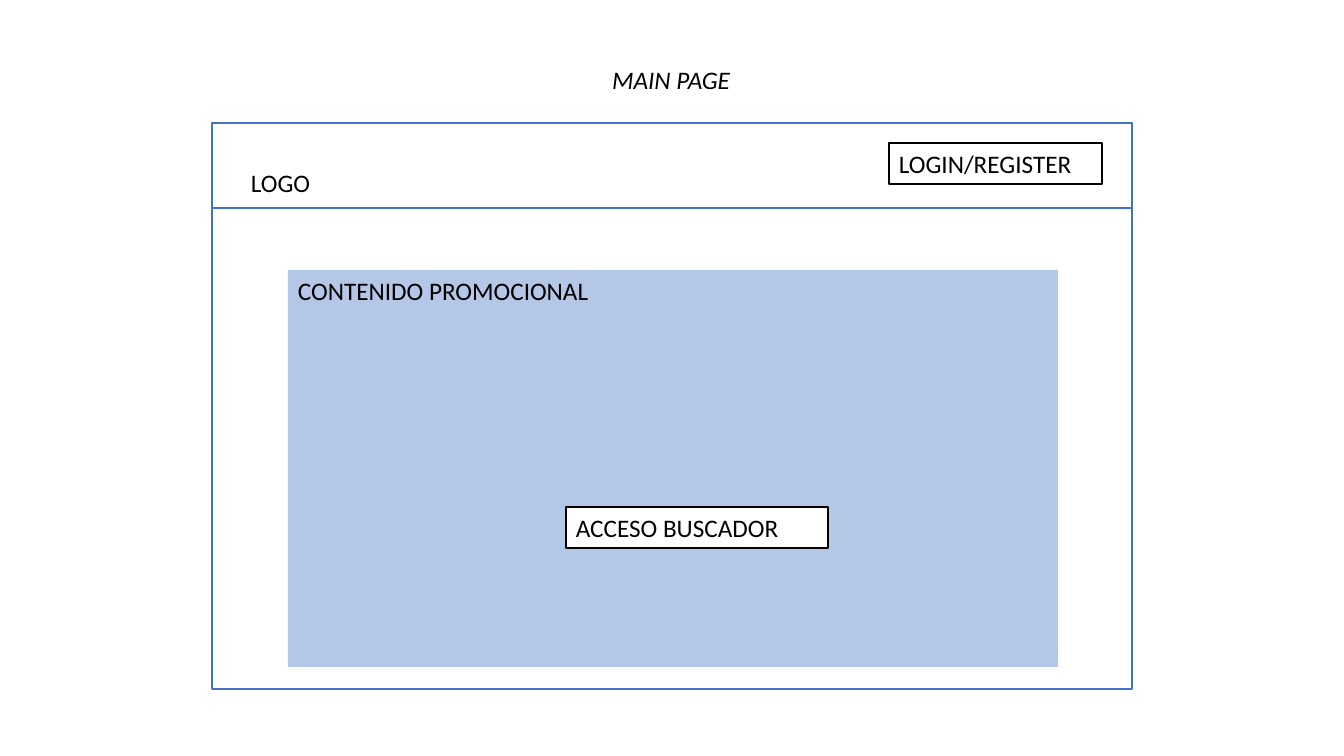
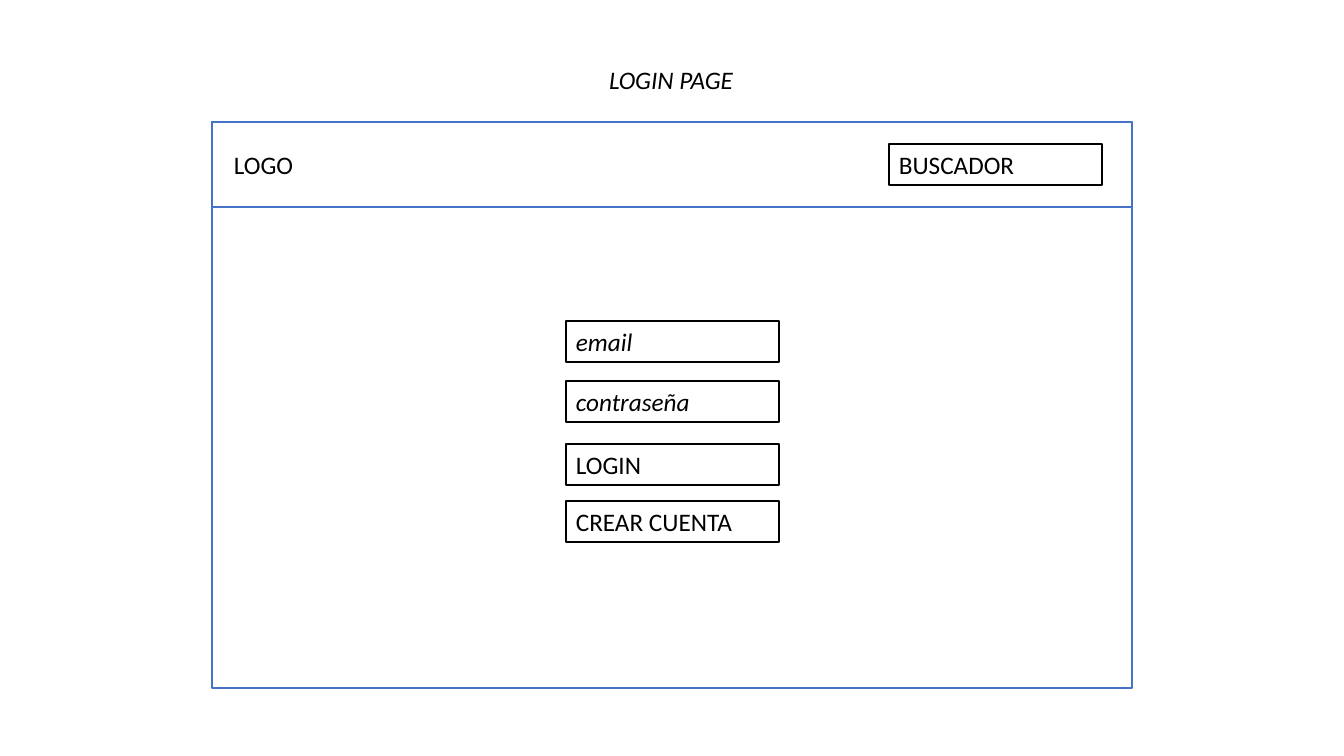
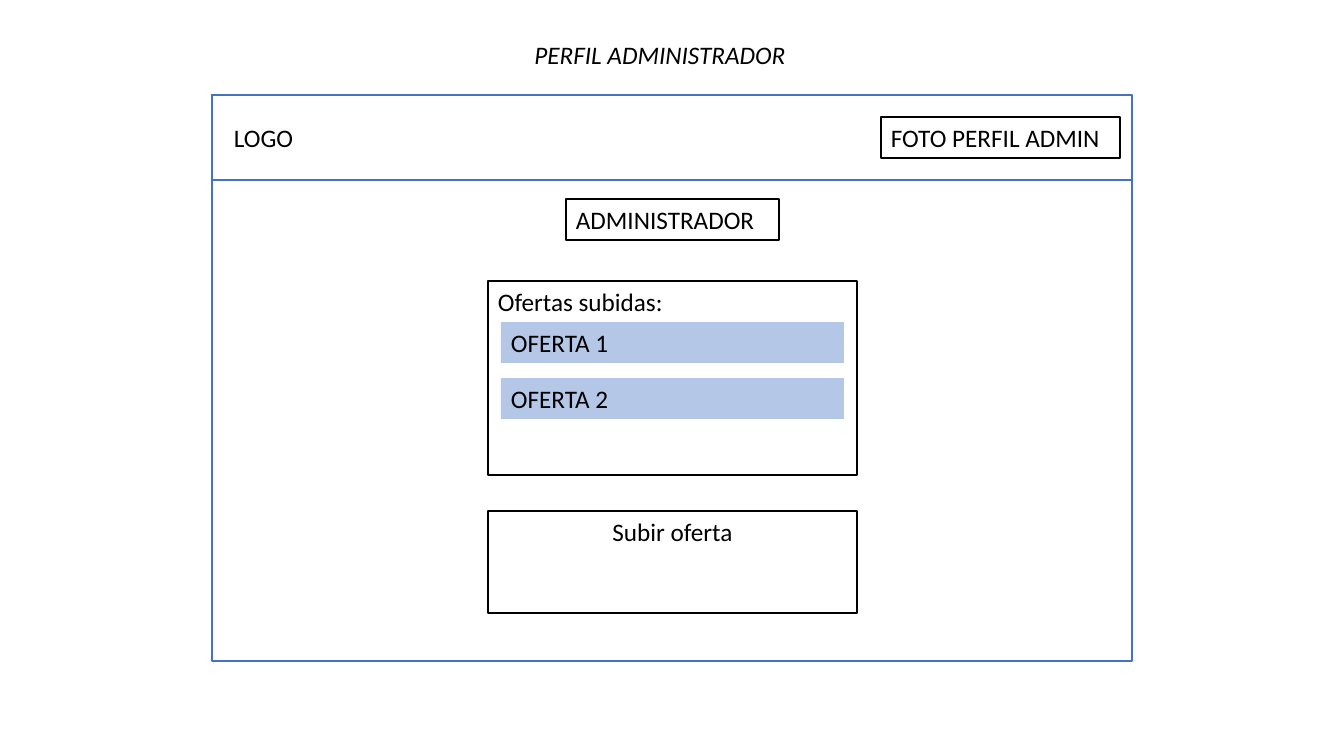
"""Build three page wireframes: main page, login page and administrator profile."""
from pptx import Presentation
from pptx import util as u
from pptx.dml.color import RGBColor
from pptx.enum import shapes, text

SCALE = 12192000 / 1344
BLACK = RGBColor(0x00, 0x00, 0x00)
WHITE = RGBColor(0xFF, 0xFF, 0xFF)
BLUE = RGBColor(0x44, 0x72, 0xC4)
PALE_BLUE = RGBColor(0xB4, 0xC7, 0xE7)
FONT = "Calibri"
ROW_HEIGHT = 41
FIELD_LEFT, FIELD_WIDTH = 566, 213
PANEL_LEFT, PANEL_WIDTH = 488, 369


def px(*lengths):
    """Turn pixel lengths into EMU."""
    return [u.Emu(round(length * SCALE)) for length in lengths]


def write(shape, wording, italic=False, align=text.PP_ALIGN.LEFT):
    """Put one formatted line at the top of a shape."""
    frame = shape.text_frame
    frame.word_wrap = True
    frame.auto_size = text.MSO_AUTO_SIZE.NONE
    frame.vertical_anchor = text.MSO_ANCHOR.TOP
    paragraph = frame.paragraphs[0]
    paragraph.alignment = align
    run = paragraph.add_run()
    run.text = wording
    run.font.name = FONT
    run.font.size = u.Pt(18)
    run.font.italic = italic
    run.font.color.rgb = BLACK


def add_box(slide, left, top, width, height=ROW_HEIGHT, wording=None,
            fill=WHITE, line=BLACK, **text_format):
    """Add a rectangle with an optional outline and wording."""
    shape = slide.shapes.add_shape(shapes.MSO_SHAPE.RECTANGLE,
                                   *px(left, top, width, height))
    shape.shadow.inherit = False
    shape.fill.solid()
    shape.fill.fore_color.rgb = fill
    if line is None:
        shape.line.fill.background()
    else:
        shape.line.color.rgb = line
        shape.line.width = u.Pt(1)
    if wording:
        write(shape, wording, **text_format)


def add_label(slide, left, top, width, wording, **text_format):
    """Add a text box one row high."""
    label = slide.shapes.add_textbox(*px(left, top, width, ROW_HEIGHT))
    write(label, wording, **text_format)


def add_page(presentation, title, top, title_box=(537, 59, 268),
             logo_at=(224, 144)):
    """Add a slide with its title, browser frame, header band and logo label."""
    slide = presentation.slides.add_slide(presentation.slide_layouts[6])
    for height in (566, 85):
        add_box(slide, 212, top, 920, height, line=BLUE)
    add_label(slide, *logo_at, 124, "LOGO")
    add_label(slide, *title_box, title, italic=True,
              align=text.PP_ALIGN.CENTER)
    return slide


def build_main_page(presentation):
    """Build the main page with its promotional area."""
    slide = add_page(presentation, "MAIN PAGE", 123, logo_at=(241, 162))
    add_box(slide, 288, 270, 770, 397, "CONTENIDO PROMOCIONAL",
            fill=PALE_BLUE, line=None)
    add_box(slide, 889, 143, FIELD_WIDTH, wording="LOGIN/REGISTER")
    add_box(slide, FIELD_LEFT, 507, 262, wording="ACCESO BUSCADOR")


def build_login_page(presentation):
    """Build the login page with its form."""
    slide = add_page(presentation, "LOGIN PAGE", 122)
    add_box(slide, 889, 144, FIELD_WIDTH, wording="BUSCADOR")
    for top, wording, italic in ((321, "email", True),
                                 (381, "contraseña", True),
                                 (444, "LOGIN", False),
                                 (501, "CREAR CUENTA", False)):
        add_box(slide, FIELD_LEFT, top, FIELD_WIDTH, wording=wording,
                italic=italic)


def build_admin_page(presentation):
    """Build the administrator profile with its offers."""
    slide = add_page(presentation, "PERFIL ADMINISTRADOR", 95,
                     title_box=(515, 34, 290), logo_at=(224, 117))
    add_box(slide, FIELD_LEFT, 199, FIELD_WIDTH, wording="ADMINISTRADOR")
    add_box(slide, 881, 117, 239, wording="FOTO PERFIL ADMIN")
    add_box(slide, PANEL_LEFT, 281, PANEL_WIDTH, 194, "Ofertas subidas:")
    add_box(slide, PANEL_LEFT, 511, PANEL_WIDTH, 102, "Subir oferta",
            align=text.PP_ALIGN.CENTER)
    for index in range(2):
        add_box(slide, 501, 322 + 56 * index, 343,
                wording=f"OFERTA {index + 1}", fill=PALE_BLUE, line=None)


def main():
    """Build and save the presentation."""
    presentation = Presentation()
    presentation.slide_width, presentation.slide_height = px(1344, 756)
    build_main_page(presentation)
    build_login_page(presentation)
    build_admin_page(presentation)
    presentation.save("out.pptx")


main()
